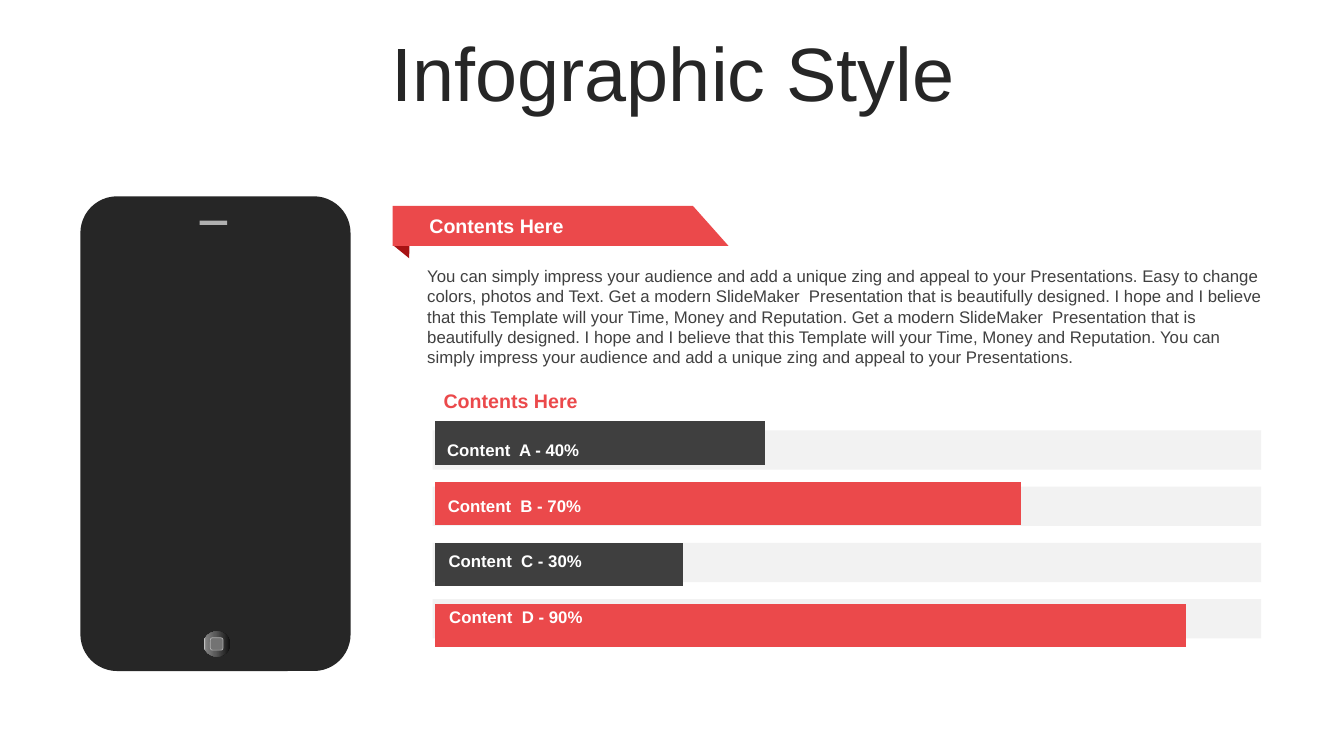
from lxml.etree import SubElement
from pptx import Presentation
from pptx.chart.data import CategoryChartData
from pptx.dml.color import RGBColor
from pptx.enum.chart import XL_CHART_TYPE
from pptx.enum.shapes import MSO_SHAPE
from pptx.enum.text import MSO_ANCHOR, MSO_AUTO_SIZE, PP_ALIGN
from pptx.oxml.ns import qn
from pptx.util import Pt

FONT = "Arial"
RED, DARK_RED = "EB494B", "A71214"
BLACK, GRAY, BAR_GRAY = "262626", "404040", "3F3F3F"
TRACK, WHITE, SILVER = "F2F2F2", "FFFFFF", "B0B0B0"

TITLE = "Infographic Style"
HEADING = "Contents Here"
BODY = (
    "You can simply impress your audience and add a unique zing and appeal to your Presentations. "
    "Easy to change colors, photos and Text. Get a modern SlideMaker  Presentation that is "
    "beautifully designed. I hope and I believe that this Template will your Time, Money and "
    "Reputation. Get a modern SlideMaker  Presentation that is beautifully designed. I hope and I "
    "believe that this Template will your Time, Money and Reputation. You can simply impress your "
    "audience and add a unique zing and appeal to your Presentations."
)
LABELS = ["Content  A - 40%", "Content  B - 70%", "Content  C - 30%", "Content  D - 90%"]
BARS = [("1", 100, RED), ("2", 33, BAR_GRAY), ("3", 78, RED), ("4", 44, BAR_GRAY)]
BUTTON_STOPS = [(0, "0F0F0F"), (56, "595959"), (91, "808080"), (100, "BFBFBF")]

RIBBON = [(280.5, 147), (494.9, 147), (520.4, 175.7), (280.5, 175.7)]
FOLD = [(292.8, 148), (280.8, 148), (281.2, 175.5), (292.3, 184.5)]
TRACK_LEFT, TRACK_TOP, TRACK_WIDTH, TRACK_HEIGHT, TRACK_STEP = 309, 307.4, 591.8, 28.1, 40.15
LABEL_LEFT, LABEL_TOP, LABEL_STEP, LABEL_SHIFT = 312.3, 310.5, 39.7, 0.5


def color(value):
    return RGBColor.from_string(value)


def paint(shape, fill):
    shape.shadow.inherit = False
    shape.fill.solid()
    shape.fill.fore_color.rgb = color(fill)
    shape.line.fill.background()
    return shape


def add_block(page, kind, area, fill):
    return paint(page.shapes.add_shape(kind, *map(Pt, area)), fill)


def add_outline(page, points, fill):
    corners = [(Pt(x), Pt(y)) for x, y in points]
    builder = page.shapes.build_freeform(*corners[0], scale=1.0)
    builder.add_line_segments(corners[1:], close=True)
    return paint(builder.convert_to_shape(), fill)


def write(frame, text, size, fill, bold=False, **settings):
    for name, value in {"word_wrap": True, "vertical_anchor": MSO_ANCHOR.MIDDLE, **settings}.items():
        setattr(frame, name, value)
    para = frame.paragraphs[0]
    span = para.add_run()
    span.text = text
    for name, value in {"name": FONT, "size": Pt(size), "bold": bold}.items():
        setattr(span.font, name, value)
    span.font.color.rgb = color(fill)
    return para


def add_text(page, area, *content, **settings):
    box = page.shapes.add_textbox(*map(Pt, area))
    return write(box.text_frame, *content, **settings)


def add_title(page):
    title = page.shapes.title
    for name, value in zip(("left", "top", "width", "height"), (25.2, 26.6, 911.5, 56.9)):
        setattr(title, name, Pt(value))
    para = write(title.text_frame, TITLE, 54, BLACK, auto_size=MSO_AUTO_SIZE.NONE)
    para.alignment = PP_ALIGN.CENTER
    para.line_spacing = 0.9


def add_phone(page):
    case = add_block(page, MSO_SHAPE.ROUNDED_RECTANGLE, (57.4, 140.2, 193, 339.1), BLACK)
    case.adjustments[0] = 0.136
    add_block(page, MSO_SHAPE.RECTANGLE, (142.6, 157.6, 19.6, 3), SILVER)
    button = add_block(page, MSO_SHAPE.OVAL, (145.4, 451, 19.2, 18), BLACK)
    button.fill.gradient()
    button.fill.gradient_angle = 180
    stops = next(button.element.iter(qn("a:gsLst")))
    for stop in list(stops):
        stops.remove(stop)
    for position, value in BUTTON_STOPS:
        stop = SubElement(stops, qn("a:gs"), pos=str(position * 1000))
        SubElement(stop, qn("a:srgbClr"), val=value)
    key = add_block(page, MSO_SHAPE.ROUNDED_RECTANGLE, (150.3, 455.6, 9, 8.8), "737373")
    key.line.color.rgb = color(SILVER)
    key.line.width = Pt(0.5)


def add_bars(page):
    data = CategoryChartData()
    data.categories = [name for name, _, _ in BARS]
    data.add_series("Series 1", [value for _, value, _ in BARS])
    area = map(Pt, (298.1, 290.9, 621.4, 181.4))
    chart = page.shapes.add_chart(XL_CHART_TYPE.BAR_STACKED, *area, data).chart
    chart.has_legend = False
    chart.has_title = False
    chart.font.name = FONT
    chart.font.size = Pt(12)
    chart.font.color.rgb = color("000000")
    for axis in (chart.category_axis, chart.value_axis):
        axis.has_major_gridlines = False
        axis.visible = False
    chart.value_axis.minimum_scale = 0
    chart.value_axis.maximum_scale = 110
    plot = chart.plots[0]
    for name, value in {"gap_width": 40, "overlap": 100, "vary_by_categories": False}.items():
        setattr(plot, name, value)
    series = plot.series[0]
    series.format.fill.solid()
    series.format.fill.fore_color.rgb = color(GRAY)
    for index, (_, _, fill) in enumerate(BARS):
        point_fill = series.points[index].format.fill
        point_fill.solid()
        point_fill.fore_color.rgb = color(fill)
    plot_area = next(chart.element.iter(qn("c:plotArea")))
    for old_layout in plot_area.findall(qn("c:layout")):
        plot_area.remove(old_layout)
    layout = SubElement(plot_area, qn("c:layout"))
    plot_area.insert(0, layout)
    manual = SubElement(layout, qn("c:manualLayout"))
    for tag, value in (("layoutTarget", "inner"), ("xMode", "edge"), ("yMode", "edge"),
                       ("x", "0.02"), ("y", "0.02"), ("w", "0.95"), ("h", "0.96")):
        SubElement(manual, qn("c:" + tag), val=value)


def main():
    deck = Presentation()
    deck.slide_width, deck.slide_height = Pt(960), Pt(540)
    page = deck.slides.add_slide(deck.slide_layouts[5])
    add_phone(page)
    add_title(page)
    add_outline(page, FOLD, DARK_RED)
    add_outline(page, RIBBON, RED)
    for row in range(len(LABELS)):
        top = TRACK_TOP + row * TRACK_STEP
        add_block(page, MSO_SHAPE.RECTANGLE, (TRACK_LEFT, top, TRACK_WIDTH, TRACK_HEIGHT), TRACK)
    add_bars(page)
    for row, label in enumerate(LABELS):
        area = (LABEL_LEFT + row * LABEL_SHIFT, LABEL_TOP + row * LABEL_STEP, 123, 21.8)
        add_text(page, area, label, 12, WHITE, True, auto_size=MSO_AUTO_SIZE.SHAPE_TO_FIT_TEXT)
    for area, fill in (((298.1, 146.4, 181.4, 29.5), WHITE), ((308.2, 275, 137.5, 22.3), RED)):
        add_text(page, area, HEADING, 14, fill, True, margin_left=Pt(8.6))
    add_text(page, (298.1, 186.5, 614.9, 79.9), BODY, 12, GRAY,
             vertical_anchor=MSO_ANCHOR.TOP, auto_size=MSO_AUTO_SIZE.SHAPE_TO_FIT_TEXT)
    deck.save("out.pptx")


if __name__ == "__main__":
    main()
